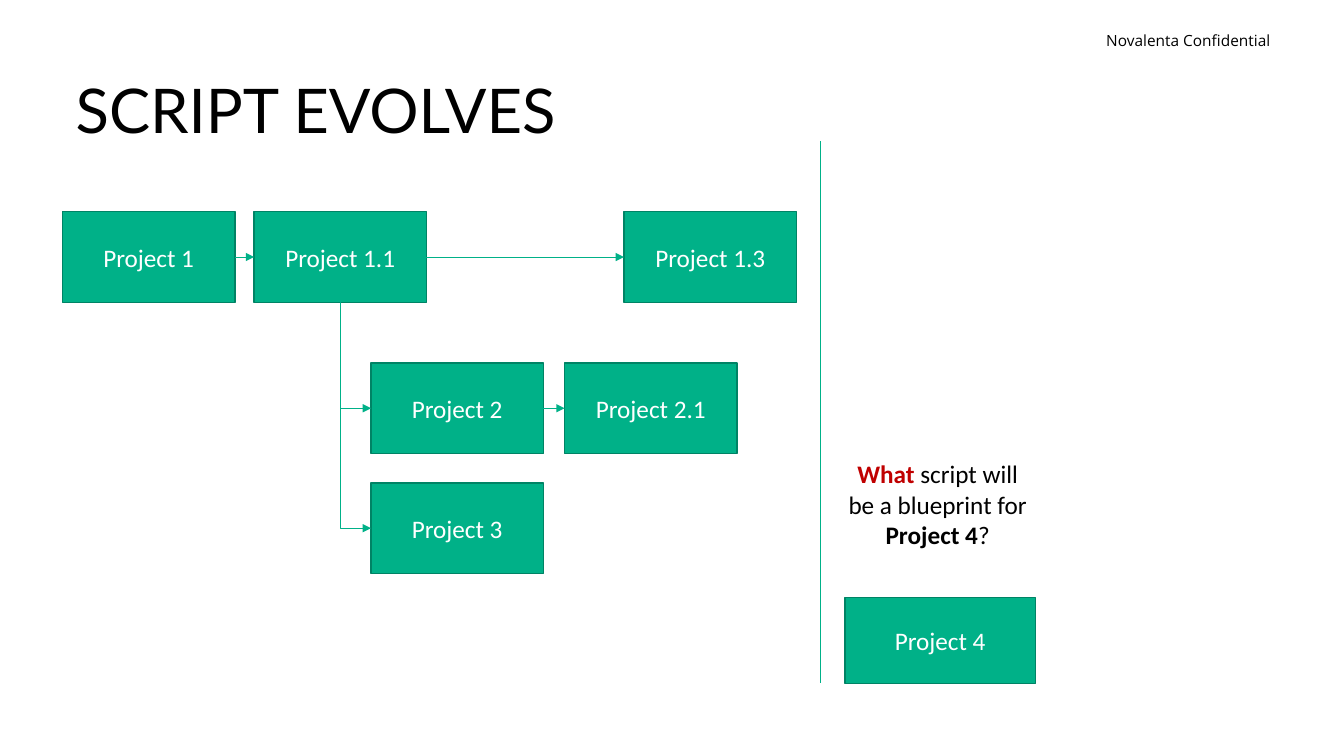
from dataclasses import dataclass

from lxml import etree
from pptx import Presentation
from pptx.dml.color import RGBColor
from pptx.enum.shapes import MSO_CONNECTOR, MSO_SHAPE
from pptx.enum.text import MSO_ANCHOR, MSO_AUTO_SIZE, PP_ALIGN
from pptx.oxml.ns import qn
from pptx.shapes.autoshape import Shape
from pptx.shapes.connector import Connector
from pptx.slide import Slide
from pptx.text.text import TextFrame
from pptx.util import Inches, Pt

ELBOW, STRAIGHT = MSO_CONNECTOR.ELBOW, MSO_CONNECTOR.STRAIGHT
RECTANGLE = MSO_SHAPE.RECTANGLE
LEFT, CENTER, RIGHT = PP_ALIGN.LEFT, PP_ALIGN.CENTER, PP_ALIGN.RIGHT
TOP, MIDDLE = MSO_ANCHOR.TOP, MSO_ANCHOR.MIDDLE
NO_AUTOFIT = MSO_AUTO_SIZE.NONE
LEFT_SITE, BOTTOM_SITE, RIGHT_SITE = 1, 2, 3

COLORS = {
    "green": "00B188",
    "dark green": "008365",
    "red": "C00000",
    "black": "000000",
    "white": "FFFFFF",
}


@dataclass(frozen=True)
class Project:
    name: str
    left: float
    top: float
    width: float = 1.71
    height: float = 0.9


@dataclass(frozen=True)
class Link:
    source: str
    target: str
    downward: bool = False


@dataclass(frozen=True)
class Span:
    text: str
    color: str = "black"
    bold: bool = False


PROJECTS = [
    Project("Project 1", 0.62, 2.1),
    Project("Project 1.1", 2.52, 2.1),
    Project("Project 1.3", 6.19, 2.1),
    Project("Project 2", 3.68, 3.6),
    Project("Project 2.1", 5.6, 3.6),
    Project("Project 3", 3.68, 4.79),
    Project("Project 4", 8.38, 5.93, 1.89, 0.85),
]

LINKS = [
    Link("Project 1", "Project 1.1"),
    Link("Project 1.1", "Project 1.3"),
    Link("Project 1.1", "Project 2", downward=True),
    Link("Project 1.1", "Project 3", downward=True),
    Link("Project 2", "Project 2.1"),
]

QUESTION = [
    Span("What ", "red", True),
    Span("script will be a blueprint for "),
    Span("Project 4", bold=True),
    Span("?"),
]


def color(name: str) -> RGBColor:
    return RGBColor.from_string(COLORS[name])


def write_text(frame: TextFrame, spans: list[Span], *, size: float = 18, font: str = "Calibri",
               align: PP_ALIGN = CENTER, anchor: MSO_ANCHOR = TOP) -> None:
    frame.word_wrap = True
    frame.auto_size = NO_AUTOFIT
    frame.vertical_anchor = anchor
    para = frame.paragraphs[0]
    para.alignment = align
    for span in spans:
        run = para.add_run()
        run.text = span.text
        run.font.size = Pt(size)
        run.font.name = font
        run.font.bold = span.bold
        run.font.color.rgb = color(span.color)


def add_text(page: Slide, left: float, top: float, width: float, height: float) -> TextFrame:
    return page.shapes.add_textbox(Inches(left), Inches(top), Inches(width), Inches(height)).text_frame


def add_title(page: Slide, text: str) -> None:
    title = page.shapes.title
    title.left, title.top = Inches(0.75), Inches(0.75)
    title.width, title.height = Inches(11.83), Inches(0.75)
    frame = title.text_frame
    frame.margin_left = 0
    write_text(frame, [Span(text)], size=44, font="Lato", align=LEFT, anchor=MIDDLE)
    frame.paragraphs[0].line_spacing = 0.9


def add_project(page: Slide, project: Project) -> Shape:
    box = page.shapes.add_shape(RECTANGLE, Inches(project.left), Inches(project.top),
                                Inches(project.width), Inches(project.height))
    box.shadow.inherit = False
    box.fill.solid()
    box.fill.fore_color.rgb = color("green")
    box.line.color.rgb = color("dark green")
    box.line.width = Pt(1)
    write_text(box.text_frame, [Span(project.name, "white")], anchor=MIDDLE)
    return box


def style_line(line: Connector) -> None:
    line.line.width = Pt(0.5)
    line.line.color.rgb = color("green")
    etree.SubElement(line.element.spPr, qn("a:effectLst"))


def turn_downward(line: Connector) -> None:
    across = line.end_x - line.begin_x
    down = line.end_y - line.begin_y
    shift = (across - down) // 2
    line.left, line.top = line.left + shift, line.top - shift
    line.width, line.height = down, across
    frame = line.element.spPr.find(qn("a:xfrm"))
    frame.set("rot", str(270 * 60000))
    frame.set("flipH", "1")
    line.element.spPr.find(qn("a:prstGeom")).set("prst", "bentConnector2")


def add_link(page: Slide, source: Shape, target: Shape, downward: bool) -> None:
    line = page.shapes.add_connector(ELBOW, 0, 0, 0, 0)
    line.begin_connect(source, BOTTOM_SITE if downward else RIGHT_SITE)
    line.end_connect(target, LEFT_SITE)
    if downward:
        turn_downward(line)
    style_line(line)
    etree.SubElement(line.element.spPr.find(qn("a:ln")), qn("a:tailEnd"), type="triangle")


def main() -> None:
    deck = Presentation()
    deck.slide_width, deck.slide_height = Inches(13.33), Inches(7.5)
    page = deck.slides.add_slide(deck.slide_layouts[5])

    write_text(add_text(page, 10.38, 0.26, 2.32, 0.29), [Span("Novalenta Confidential")],
               size=11, font="Open Sans", align=RIGHT)
    add_title(page, "SCRIPT EVOLVES")

    boxes = {project.name: add_project(page, project) for project in PROJECTS}
    for link in LINKS:
        add_link(page, boxes[link.source], boxes[link.target], link.downward)

    divider = page.shapes.add_connector(STRAIGHT, Inches(8.14), Inches(1.4), Inches(8.14), Inches(6.78))
    style_line(divider)
    write_text(add_text(page, 8.27, 4.5, 2.06, 1.01), QUESTION)

    deck.save("out.pptx")


if __name__ == "__main__":
    main()
